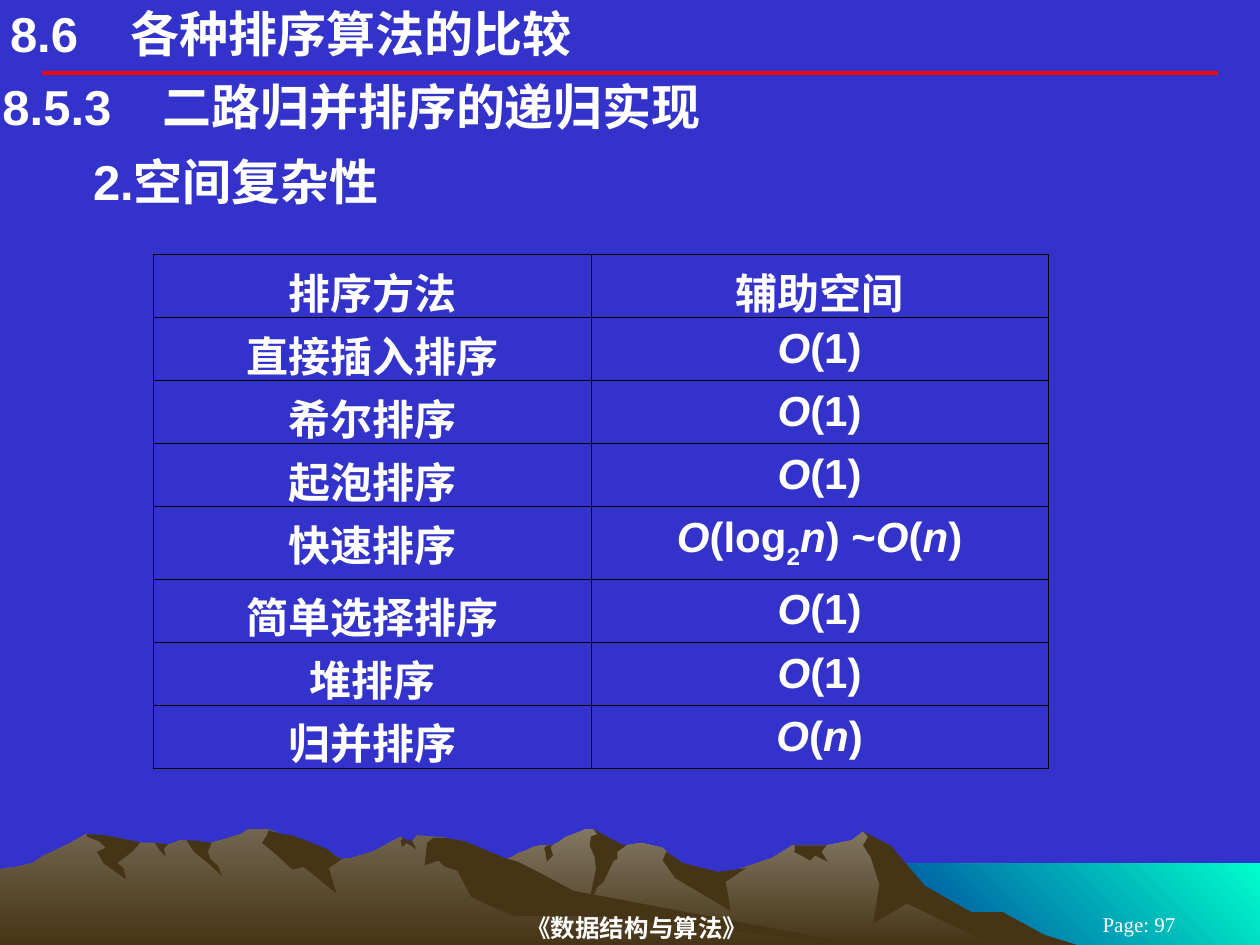
from lxml import etree
from pptx import Presentation
from pptx.dml.color import RGBColor
from pptx.enum.shapes import MSO_CONNECTOR
from pptx.enum.text import MSO_ANCHOR as Anchor, PP_ALIGN as Align
from pptx.oxml.ns import qn
from pptx.util import Inches, Pt

BACKGROUND = RGBColor(0x33, 0x33, 0xCC)
WHITE = RGBColor(0xFF, 0xFF, 0xFF)
BLACK = RGBColor(0, 0, 0)
RED = RGBColor(0xFF, 0, 0)
WATER_GREEN = RGBColor(0, 0xFF, 0xCC)
WATER_BLUE = RGBColor(0, 0x33, 0x99)
ROCK_LIGHT = RGBColor(0x83, 0x77, 0x63)
ROCK_MID = RGBColor(0x72, 0x64, 0x4E)
ROCK_DARK = RGBColor(0x46, 0x34, 0x16)

WATER = [(1000, 94), (683, 94), (683, 27), (1000, 27)]
RIGHT_RANGE = [
    (802, 82), (778, 69), (764, 65), (723, 40), (702, 13), (685, 2), (676, 9),
    (656, 13), (629, 13), (613, 23), (566, 39), (536, 32), (529, 18), (526, 15),
    (509, 11), (497, 13), (486, 15), (474, 3), (471, 0), (465, 0), (450, 6),
    (448, 7), (444, 10), (438, 13), (430, 13), (424, 14), (418, 17), (412, 19),
    (405, 23), (399, 25), (394, 27), (355, 40), (327, 51), (277, 81), (258, 93),
    (821, 93)]
RIGHT_SHADOWS = [
    [(796, 66), (771, 66), (734, 45), (707, 13), (685, 2), (689, 6), (685, 13),
     (691, 22), (698, 44), (693, 75), (720, 59), (792, 94), (858, 93), (829, 84)],
    [(471, 0), (474, 4), (469, 6), (468, 13), (472, 22), (473, 32), (465, 69),
     (474, 46), (479, 42), (487, 25), (490, 24), (490, 18), (497, 13), (493, 12)],
    [(529, 18), (528, 20), (526, 25), (536, 39), (580, 65), (576, 42), (592, 31),
     (570, 34), (542, 27)],
    [(650, 13), (630, 13), (631, 14), (631, 17), (630, 18), (643, 25), (647, 21),
     (657, 26), (652, 18), (656, 13)],
    [(433, 19), (432, 15), (434, 13), (438, 13), (439, 12), (437, 15), (439, 21),
     (434, 26)]]
LEFT_RANGE = [
    (690, 93), (667, 90), (432, 54), (354, 7), (331, 5), (327, 10), (323, 10),
    (318, 6), (296, 18), (279, 23), (271, 24), (260, 18), (236, 23), (223, 5),
    (219, 2), (212, 0), (197, 0), (191, 4), (178, 8), (160, 13), (148, 9),
    (143, 9), (132, 13), (128, 13), (123, 11), (111, 11), (94, 13), (68, 4),
    (56, 11), (46, 16), (35, 21), (26, 27), (14, 30), (0, 32), (0, 93)]
LEFT_SHADOWS = [
    [(212, 5), (208, 11), (219, 20), (232, 32), (241, 30), (267, 51), (261, 31),
     (271, 24), (266, 21), (260, 16), (245, 10), (232, 5), (224, 4), (213, 1)],
    [(370, 10), (354, 7), (344, 7), (339, 11), (337, 29), (348, 25), (353, 30),
     (363, 33), (374, 54), (407, 69), (472, 69), (690, 93), (683, 92), (455, 49),
     (427, 34), (411, 26), (401, 23), (386, 17)],
    [(318, 9), (320, 8), (318, 6), (323, 9), (327, 9), (330, 15), (330, 16),
     (326, 13), (322, 11), (321, 13), (319, 14)],
    [(154, 9), (168, 11), (165, 18), (167, 24), (173, 29), (176, 37), (165, 27),
     (154, 18), (148, 9)],
    [(133, 12), (130, 16), (132, 22), (127, 17), (123, 11)],
    [(109, 10), (111, 11), (105, 18), (93, 27), (98, 31), (100, 40), (82, 27),
     (77, 18), (84, 15), (79, 10), (69, 6), (69, 4), (84, 5), (94, 7)]]

SPACE_ROWS = [
    ("排序方法", ["辅助空间"]),
    ("直接插入排序", ["O", "(1)"]),
    ("希尔排序", ["O", "(1)"]),
    ("起泡排序", ["O", "(1)"]),
    ("快速排序", ["O", "(log", "2", "n", ") ~", "O", "(", "n", ")"]),
    ("简单选择排序", ["O", "(1)"]),
    ("堆排序", ["O", "(1)"]),
    ("归并排序", ["O", "(", "n", ")"])]


def style(font, size, name="Arial", bold=True):
    font.size, font.name, font.bold = Pt(size), name, bold
    font.color.rgb = WHITE


def add_outline(slide, left, top, points, colors, angle=270):
    builder = slide.shapes.build_freeform(*points[0], scale=Inches(0.01))
    builder.add_line_segments(points[1:], close=True)
    outline = builder.convert_to_shape(left, top)
    outline.shadow.inherit = False
    outline.line.fill.background()
    if len(colors) == 1:
        outline.fill.solid()
        outline.fill.fore_color.rgb = colors[0]
        return
    outline.fill.gradient()
    outline.fill.gradient_angle = angle
    for stop, position, color in zip(outline.fill.gradient_stops, (0, 1), colors):
        stop.position = position
        stop.color.rgb = color


def add_scenery(slide, left, top):
    add_outline(slide, left, top, WATER, [WATER_GREEN, WATER_BLUE], 225)
    for mountains, light, shadows in ((RIGHT_RANGE, ROCK_LIGHT, RIGHT_SHADOWS),
                                      (LEFT_RANGE, ROCK_MID, LEFT_SHADOWS)):
        add_outline(slide, left, top, mountains, [light, ROCK_DARK])
        for shadow in shadows:
            add_outline(slide, left, top, shadow, [ROCK_DARK])


def add_rule(slide, left, top, width):
    rule = slide.shapes.add_connector(MSO_CONNECTOR.STRAIGHT, left, top, left + width, top)
    rule.line.color.rgb = RED
    rule.line.width = Pt(2.25)
    etree.SubElement(rule._element.spPr, qn("a:effectLst"))


def add_text(slide, box, text, margins, anchor=Anchor.TOP, align=Align.LEFT):
    frame = slide.shapes.add_textbox(*map(Inches, box)).text_frame
    frame.word_wrap = True
    frame.vertical_anchor = anchor
    frame.margin_left = frame.margin_right = Inches(margins[0])
    frame.margin_top = frame.margin_bottom = Inches(margins[1])
    paragraph = frame.paragraphs[0]
    paragraph.text = text
    paragraph.alignment = align
    return paragraph


def add_heading(slide, box, text, margins, indent=0, tab=None):
    heading = add_text(slide, box, text, margins)
    style(heading.font, 28)
    properties = heading._p.get_or_add_pPr()
    if indent:
        properties.set("marL", str(Inches(indent)))
    if tab:
        stops = etree.Element(qn("a:tabLst"))
        etree.SubElement(stops, qn("a:tab"), pos=str(Inches(tab)), algn="l")
        properties.insert(0, stops)


def add_footer(slide):
    course = add_text(slide, (2.08, 7.22, 5.95, 0.28), "《数据结构与算法》", (0, 0.01),
                      Anchor.MIDDLE, Align.CENTER)
    style(course.font, 14, "Times New Roman")
    page = add_text(slide, (8.25, 7.25, 1.58, 0.17), "Page: 97", (0.1, 0.05),
                    Anchor.MIDDLE, Align.CENTER)
    style(page.font, 12, "Times New Roman", False)


def add_borders(cell):
    properties = cell._tc.get_or_add_tcPr()
    for index, side in enumerate(("a:lnL", "a:lnR", "a:lnT", "a:lnB")):
        border = etree.Element(qn(side), w=str(Pt(0.45)))
        fill = etree.SubElement(border, qn("a:solidFill"))
        etree.SubElement(fill, qn("a:srgbClr"), val=str(BLACK))
        properties.insert(index, border)


def fill_cell(cell, parts):
    cell.fill.background()
    cell.vertical_anchor = Anchor.MIDDLE
    add_borders(cell)
    paragraph = cell.text_frame.paragraphs[0]
    paragraph.alignment = Align.CENTER
    style(paragraph.font, 24)
    for part in parts:
        run = paragraph.add_run()
        run.text = part
        if part in ("O", "n"):
            run.font.italic = True
        elif part == "2":
            run.font._element.set("baseline", "-30000")


def add_space_table(slide, left, top, width, height):
    table = slide.shapes.add_table(len(SPACE_ROWS), 2, left, top, width, height).table
    table.first_row = table.horz_banding = False
    table.columns[0].width = Inches(3.47)
    table.columns[1].width = width - Inches(3.47)
    for index, (method, space) in enumerate(SPACE_ROWS):
        table.rows[index].height = Inches(0.57 if "2" in space else 0.5)
        fill_cell(table.cell(index, 0), [method])
        fill_cell(table.cell(index, 1), space)


def main():
    deck = Presentation()
    deck.slide_width, deck.slide_height = Inches(10), Inches(7.5)
    slide = deck.slides.add_slide(deck.slide_layouts[6])
    slide.background.fill.solid()
    slide.background.fill.fore_color.rgb = BACKGROUND
    add_scenery(slide, Inches(0), Inches(6.58))
    add_rule(slide, Inches(0.33), Inches(0.58), Inches(9.34))
    add_footer(slide)
    add_heading(slide, (0.08, 0.03, 6.5, 0.47), "8.6\t各种排序算法的比较", (0, 0), tab=0.96)
    add_heading(slide, (0, 0.6, 10, 0.49), "8.5.3\t二路归并排序的递归实现", (0.02, 0.01), tab=1.27)
    add_heading(slide, (0, 1.15, 10, 0.57), "2.空间复杂性", (0.1, 0.05), indent=0.64)
    add_space_table(slide, Inches(1.22), Inches(2.02), Inches(7.1), Inches(4.07))
    deck.save("out.pptx")


if __name__ == "__main__":
    main()
